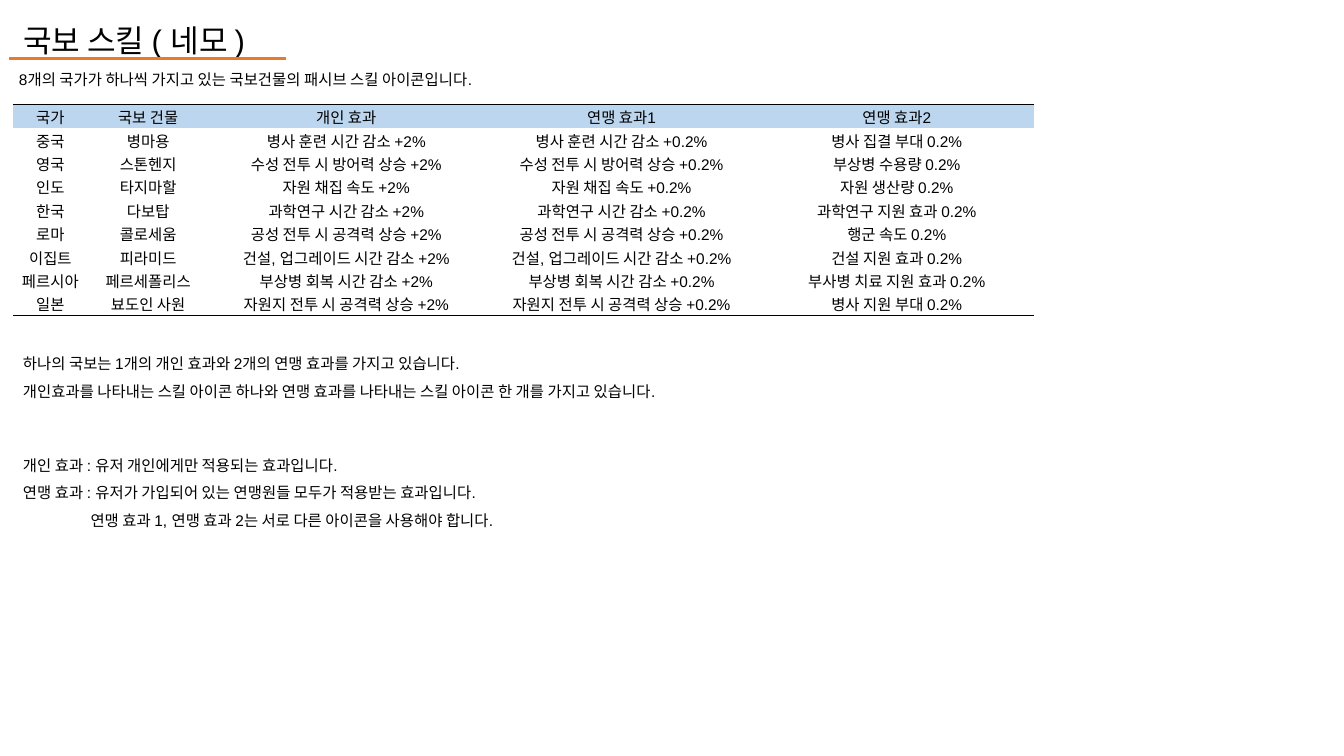
from dataclasses import dataclass

from lxml import etree
from pptx import Presentation
from pptx.dml.color import RGBColor
from pptx.enum.shapes import MSO_CONNECTOR
from pptx.enum.text import MSO_ANCHOR, MSO_AUTO_SIZE, PP_ALIGN
from pptx.oxml.ns import qn
from pptx.util import Inches, Pt

STRAIGHT = MSO_CONNECTOR.STRAIGHT
TOP, MIDDLE = MSO_ANCHOR.TOP, MSO_ANCHOR.MIDDLE
LEFT, CENTER = PP_ALIGN.LEFT, PP_ALIGN.CENTER
FIXED_SIZE = MSO_AUTO_SIZE.NONE

FONT = "Arial"
BLACK, HEADER_BLUE, ORANGE = "000000", "BBD6EE", "EB792A"
PLAIN_TABLE = "{2D5ABB26-0587-4C30-8999-92F81FD0307C}"
COLUMN_WIDTHS = [0.74, 1.2, 2.73, 2.73, 2.73]
ROW_HEIGHT = 0.23


@dataclass
class Treasure:
    country: str
    building: str
    skill: str
    alliance_skill: str

    def cells(self) -> list[str]:
        return [self.country, self.building, f"{self.skill} +2%",
                f"{self.skill} +0.2%", f"{self.alliance_skill} 0.2%"]


@dataclass
class Line:
    text: str
    indent: float = 0


@dataclass
class Note:
    left: float
    top: float
    width: float
    height: float
    lines: list[Line]
    spacing: float = 1.0


HEADINGS = ["국가", "국보 건물", "개인 효과", "연맹 효과1", "연맹 효과2"]
TREASURES = [
    Treasure("중국", "병마용", "병사 훈련 시간 감소", "병사 집결 부대"),
    Treasure("영국", "스톤헨지", "수성 전투 시 방어력 상승", "부상병 수용량"),
    Treasure("인도", "타지마할", "자원 채집 속도", "자원 생산량"),
    Treasure("한국", "다보탑", "과학연구 시간 감소", "과학연구 지원 효과"),
    Treasure("로마", "콜로세움", "공성 전투 시 공격력 상승", "행군 속도"),
    Treasure("이집트", "피라미드", "건설, 업그레이드 시간 감소", "건설 지원 효과"),
    Treasure("페르시아", "페르세폴리스", "부상병 회복 시간 감소", "부사병 치료 지원 효과"),
    Treasure("일본", "뵤도인 사원", "자원지 전투 시 공격력 상승", "병사 지원 부대"),
]
NOTES = [
    Note(0.09, 0.65, 5.44, 0.29, [
        Line("8개의 국가가 하나씩 가지고 있는 국보건물의 패시브 스킬 아이콘입니다."),
    ]),
    Note(0.13, 3.37, 7.66, 0.83, [
        Line("하나의 국보는 1개의 개인 효과와 2개의 연맹 효과를 가지고 있습니다."),
        Line("개인효과를 나타내는 스킬 아이콘 하나와 연맹 효과를 나타내는 스킬 아이콘 한 개를 가지고 있습니다."),
    ], spacing=1.5),
    Note(0.13, 4.38, 7.66, 0.83, [
        Line("개인 효과 : 유저 개인에게만 적용되는 효과입니다."),
        Line("연맹 효과 : 유저가 가입되어 있는 연맹원들 모두가 적용받는 효과입니다."),
        Line("연맹 효과 1, 연맹 효과 2는 서로 다른 아이콘을 사용해야 합니다.", indent=0.67),
    ], spacing=1.5),
]


def color(value: str) -> RGBColor:
    return RGBColor.from_string(value)


def write(para, text: str, *, size: float = 11, align=LEFT,
          spacing: float = 1.0, indent: float = 0) -> None:
    para.alignment = align
    para.line_spacing = spacing
    if indent:
        para._p.get_or_add_pPr().set("marL", str(Inches(indent)))
    span = para.add_run()
    span.text = text
    span.font.name = FONT
    span.font.size = Pt(size)
    span.font.color.rgb = color(BLACK)


def add_title(page, text: str) -> None:
    title = page.shapes.title
    title.left, title.top = Inches(0.13), Inches(0.01)
    title.width, title.height = Inches(7.86), Inches(0.64)
    frame = title.text_frame
    frame.auto_size = FIXED_SIZE
    frame.vertical_anchor = TOP
    write(frame.paragraphs[0], text, size=22.2, spacing=1.4)


def add_underline(page) -> None:
    line = page.shapes.add_connector(
        STRAIGHT, Inches(0.09), Inches(0.58), Inches(2.84), Inches(0.58))
    line.line.color.rgb = color(ORANGE)
    line.line.width = Pt(1.5)
    etree.SubElement(line._element.spPr, qn("a:effectLst"))


def add_note(page, note: Note) -> None:
    box = page.shapes.add_textbox(Inches(note.left), Inches(note.top),
                                  Inches(note.width), Inches(note.height))
    frame = box.text_frame
    frame.word_wrap = True
    for index, line in enumerate(note.lines):
        para = frame.add_paragraph() if index else frame.paragraphs[0]
        write(para, line.text, spacing=note.spacing, indent=line.indent)


def add_border(cell, side: str) -> None:
    """Rule one side of a cell: lnT for the top, lnB for the bottom."""
    border = etree.Element(qn(f"a:{side}"), w=str(Pt(1)))
    fill = etree.SubElement(border, qn("a:solidFill"))
    etree.SubElement(fill, qn("a:srgbClr"), val=BLACK)
    cell._tc.get_or_add_tcPr().insert(0, border)


def add_treasure_table(page) -> None:
    rows = [HEADINGS] + [treasure.cells() for treasure in TREASURES]
    table = page.shapes.add_table(
        len(rows), len(HEADINGS), Inches(0.13), Inches(1.04),
        Inches(sum(COLUMN_WIDTHS)), Inches(ROW_HEIGHT * len(rows))).table
    table.first_row = table.horz_banding = False
    table._tbl.tblPr.find(qn("a:tableStyleId")).text = PLAIN_TABLE
    for column, width in zip(table.columns, COLUMN_WIDTHS):
        column.width = Inches(width)
    for row_index, texts in enumerate(rows):
        table.rows[row_index].height = Inches(ROW_HEIGHT)
        for column_index, text in enumerate(texts):
            cell = table.cell(row_index, column_index)
            cell.margin_left = cell.margin_right = cell.margin_top = Inches(0.01)
            cell.margin_bottom = 0
            cell.vertical_anchor = MIDDLE
            write(cell.text_frame.paragraphs[0], text, align=CENTER)
            if row_index == 0:
                cell.fill.solid()
                cell.fill.fore_color.rgb = color(HEADER_BLUE)
                add_border(cell, "lnT")
            else:
                cell.fill.background()
            if row_index == len(rows) - 1:
                add_border(cell, "lnB")


def main() -> None:
    deck = Presentation()
    deck.slide_width, deck.slide_height = Inches(13.33), Inches(7.5)
    page = deck.slides.add_slide(deck.slide_layouts.get_by_name("Title Only"))
    add_title(page, "국보 스킬 ( 네모 )")
    add_treasure_table(page)
    add_underline(page)
    for note in NOTES:
        add_note(page, note)
    deck.save("out.pptx")


if __name__ == "__main__":
    main()
